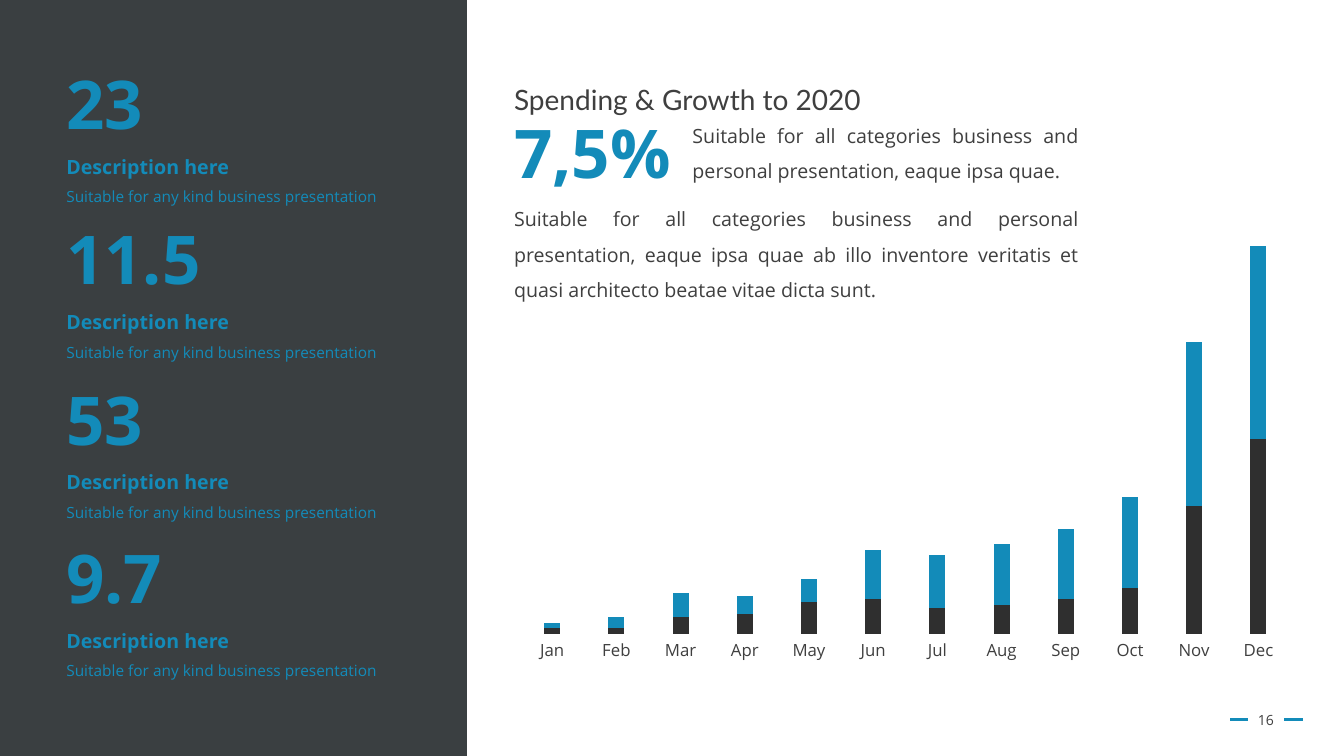
from lxml import etree
from pptx import Presentation
from pptx import util as u
from pptx.chart import data as chart_data
from pptx.dml import color
from pptx.enum import chart as ch, shapes, text
from pptx.oxml import ns, parse_xml

BLUE, GREY, BLACK, PANEL = "138BB9", "3F3F3F", "2F2F2F", "181E20"
BODY, HEADING = "Open Sans", "Lato"
MONTHS = "Jan Feb Mar Apr May Jun Jul Aug Sep Oct Nov Dec".split()
SERIES = [
    ("Series 1", BLACK, (2, 2, 6, 7, 11, 12, 9, 10, 12, 16, 44, 67)),
    ("Series 2", BLUE, (2, 4, 8, 6, 8, 17, 18, 21, 24, 31, 56, 100)),
]
STATS = [("23", 0.57), ("11.5", 2.11), ("53", 3.7), ("9.7", 5.27)]


def rgb(value):
    """Turn a hex string into a colour."""
    return color.RGBColor.from_string(value)


def style_font(font, size, hue, bold=False, name=BODY):
    """Set the face, size, colour and weight of a font."""
    font.name, font.size, font.bold = name, u.Pt(size), bold
    font.color.rgb = rgb(hue)


def add_words(slide, box, lines, align=text.PP_ALIGN.LEFT, wrap=True, grow=True):
    """Add a text box of (words, size, colour, bold, font, spacing) lines."""
    frame = slide.shapes.add_textbox(*map(u.Inches, box)).text_frame
    frame.word_wrap = wrap
    if grow:
        frame.auto_size = text.MSO_AUTO_SIZE.SHAPE_TO_FIT_TEXT
    frame.text = "\n".join(line[0] for line in lines)
    for paragraph, (_, size, hue, bold, name, spacing) in zip(frame.paragraphs, lines):
        paragraph.alignment = align
        paragraph.line_spacing = spacing
        style_font(paragraph.runs[0].font, size, hue, bold, name)
    return frame


def add_sidebar(slide, left, top, width, height):
    """Draw the dark panel with its four figures."""
    panel = slide.shapes.add_shape(
        shapes.MSO_SHAPE.RECTANGLE, *map(u.Inches, (left, top, width, height)))
    panel.shadow.inherit = False
    panel.line.fill.background()
    panel.fill.solid()
    panel.fill.fore_color.rgb = rgb(PANEL)
    tint = panel.fill._xPr.find(".//" + ns.qn("a:srgbClr"))
    etree.SubElement(tint, ns.qn("a:alpha"), val="85000")
    for figure, offset in STATS:
        add_words(slide, (left + 0.57, top + offset, 3.3, 1.54), [
            (figure, 48, BLUE, True, BODY, 1.0),
            ("Description here", 14, BLUE, True, BODY, 1.5),
            ("Suitable for any kind business presentation", 11, BLUE, False, BODY, 1.5),
        ], wrap=False)


def add_summary(slide, left, top, width):
    """Place the heading, the growth figure and the two paragraphs."""
    justify = text.PP_ALIGN.JUSTIFY
    add_words(slide, (left, top, 5.72, 0.55),
              [("Spending & Growth to 2020", 20, GREY, False, HEADING, 1.5)], justify)
    add_words(slide, (left, top + 0.46, 1.77, 0.91),
              [("7,5%", 48, BLUE, True, BODY, 1.0)], wrap=False)
    add_words(slide, (left + 1.77, top + 0.46, width - 1.77, 0.81),
              [("Suitable for all categories business and personal presentation, "
                "eaque ipsa quae.", 14, GREY, False, BODY, 1.5)], justify)
    add_words(slide, (left, top + 1.29, width, 1.16),
              [("Suitable for all categories business and personal presentation, "
                "eaque ipsa quae ab illo inventore veritatis et quasi architecto "
                "beatae vitae dicta sunt.", 14, GREY, False, BODY, 1.5)], justify)


def add_spending_chart(slide, left, top, width, height):
    """Draw the stacked monthly columns."""
    monthly = chart_data.CategoryChartData()
    monthly.categories = MONTHS
    for name, _, values in SERIES:
        monthly.add_series(name, values)
    chart = slide.shapes.add_chart(
        ch.XL_CHART_TYPE.COLUMN_STACKED,
        *map(u.Inches, (left, top, width, height)), monthly).chart
    chart.has_legend = chart.has_title = False
    style_font(chart.font, 12, GREY)

    plot = chart.plots[0]
    plot.gap_width, plot.overlap, plot.vary_by_categories = 300, 100, False
    for series, (_, hue, _) in zip(plot.series, SERIES):
        series.format.fill.solid()
        series.format.fill.fore_color.rgb = rgb(hue)

    months, amounts = chart.category_axis, chart.value_axis
    months.major_tick_mark = ch.XL_TICK_MARK.NONE
    months.format.line.fill.background()
    style_font(months.tick_labels.font, 12, GREY)
    amounts.minimum_scale, amounts.maximum_scale = 0, 133
    amounts.has_major_gridlines = amounts.visible = False

    area = chart._chartSpace.chart.plotArea
    for old in area.findall(ns.qn("c:layout")):
        area.remove(old)
    places = "".join(f'<c:{tag} val="{value}"/>' for tag, value in (
        ("layoutTarget", "inner"), ("xMode", "edge"), ("yMode", "edge"),
        ("x", 0.07), ("y", 0.125), ("w", 0.924), ("h", 0.719)))
    area.insert(0, parse_xml(
        f'<c:layout {ns.nsdecls("c")}><c:manualLayout>{places}</c:manualLayout></c:layout>'))


def add_page_number(slide, left, top, width, height):
    """Write the page number between two short dashes."""
    number = add_words(slide, (left, top, width, height),
                       [("16", 10, GREY, False, BODY, 1.0)],
                       text.PP_ALIGN.CENTER, grow=False)
    number.vertical_anchor = text.MSO_ANCHOR.MIDDLE
    middle = u.Inches(top + height / 2)
    for start in (left - 0.06, left + 0.48):
        dash = slide.shapes.add_connector(
            shapes.MSO_CONNECTOR.STRAIGHT,
            u.Inches(start), middle, u.Inches(start + 0.18), middle)
        dash.line.color.rgb = rgb(BLUE)
        dash.line.width = u.Pt(1.75)
        etree.SubElement(dash._element.spPr, ns.qn("a:effectLst"))


def main():
    """Build the slide and save it."""
    deck = Presentation()
    deck.slide_width, deck.slide_height = u.Inches(13.33), u.Inches(7.5)
    slide = deck.slides.add_slide(deck.slide_layouts[6])
    add_sidebar(slide, -0.01, 0, 4.64, 7.5)
    add_page_number(slide, 12.26, 6.94, 0.59, 0.4)
    add_spending_chart(slide, 4.58, 1.77, 8.27, 5.36)
    add_summary(slide, 5, 0.6, 5.8)
    deck.save("out.pptx")


if __name__ == "__main__":
    main()
